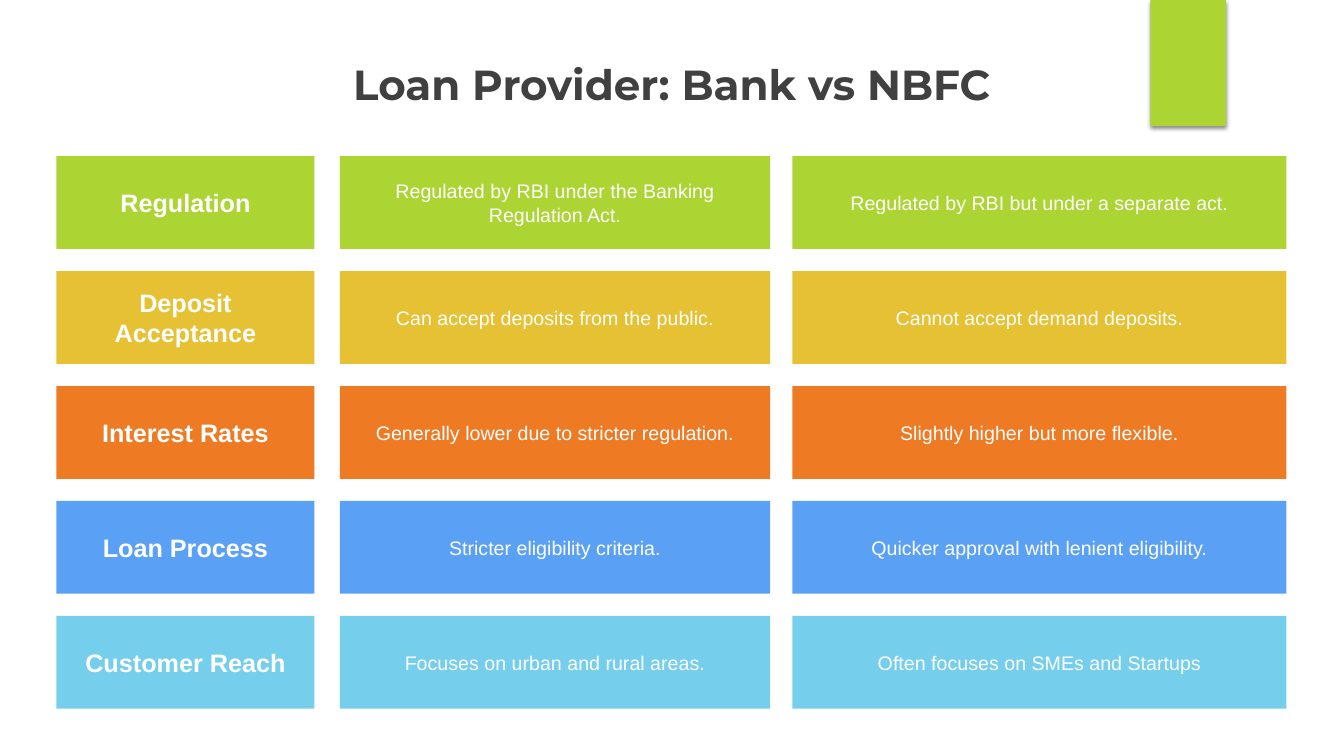
from dataclasses import dataclass

from lxml.etree import SubElement
from pptx import Presentation
from pptx.dml.color import RGBColor
from pptx.enum.shapes import MSO_SHAPE
from pptx.enum.text import MSO_ANCHOR, PP_ALIGN
from pptx.oxml.ns import qn
from pptx.util import Inches, Pt


@dataclass(frozen=True)
class Theme:
    """Colours, fonts and type sizes of the deck."""
    green: str = "ACD433"
    yellow: str = "E6C133"
    orange: str = "EF7A24"
    blue: str = "5AA0F5"
    sky: str = "75CEEC"
    white: str = "FFFFFF"
    title_color: str = "404040"
    shadow: str = "000000"
    title_font: str = "Montserrat"
    body_font: str = "Arial"
    title_size: int = 30
    label_size: int = 18
    body_size: int = 14


@dataclass(frozen=True)
class Box:
    """A rectangle in inches."""
    left: float
    top: float
    width: float
    height: float

    def lengths(self):
        """Return the four measures as lengths."""
        return [Inches(value) for value in (self.left, self.top, self.width, self.height)]


THEME = Theme()
COLUMNS = [(0.56, 2.56), (3.37, 4.27), (7.86, 4.9)]
ROW_HEIGHT = 0.92
ROW_STEP = 1.14
ROWS = [
    (THEME.green, "Regulation", "Regulated by RBI under the Banking Regulation Act.",
     "Regulated by RBI but under a separate act."),
    (THEME.yellow, "Deposit Acceptance", "Can accept deposits from the public.",
     "Cannot accept demand deposits."),
    (THEME.orange, "Interest Rates", "Generally lower due to stricter regulation.",
     "Slightly higher but more flexible."),
    (THEME.blue, "Loan Process", "Stricter eligibility criteria.",
     "Quicker approval with lenient eligibility."),
    (THEME.sky, "Customer Reach", "Focuses on urban and rural areas.",
     "Often focuses on SMEs and Startups"),
]


def write_centered(frame, text, font, size, color, bold=False):
    """Write one centred line of text into a frame."""
    frame.word_wrap = True
    para = frame.paragraphs[0]
    para.alignment = PP_ALIGN.CENTER
    span = para.add_run()
    span.text = text
    span.font.name = font
    span.font.size = Pt(size)
    span.font.bold = bold
    span.font.color.rgb = RGBColor.from_string(color)


def add_block(page, box, color):
    """Add a plain filled rectangle."""
    block = page.shapes.add_shape(MSO_SHAPE.RECTANGLE, *box.lengths())
    block.shadow.inherit = False
    block.fill.solid()
    block.fill.fore_color.rgb = RGBColor.from_string(color)
    block.line.fill.background()
    return block


def add_corner_tab(page, box):
    """Add the green tab with its soft shadow below."""
    tab = add_block(page, box, THEME.green)
    effects = tab._element.spPr.find(qn("a:effectLst"))
    shadow = SubElement(effects, qn("a:outerShdw"), blurRad=str(Pt(3)), dist=str(Pt(2)),
                        dir="5400000", rotWithShape="0")
    color = SubElement(shadow, qn("a:srgbClr"), val=THEME.shadow)
    SubElement(color, qn("a:alpha"), val="45000")


def add_title(page, box, text):
    """Add the slide title."""
    title = page.shapes.add_textbox(*box.lengths())
    write_centered(title.text_frame, text, THEME.title_font, THEME.title_size,
                   THEME.title_color, bold=True)


def add_cell(page, box, text, color, is_label):
    """Add one coloured cell of the comparison."""
    frame = add_block(page, box, color).text_frame
    frame.vertical_anchor = MSO_ANCHOR.MIDDLE
    frame.margin_left = frame.margin_right = Inches(0.1)
    frame.margin_top = frame.margin_bottom = Inches(0.1)
    size = THEME.label_size if is_label else THEME.body_size
    write_centered(frame, text, THEME.body_font, size, THEME.white, bold=is_label)


def add_comparison(page, top):
    """Add the grid of topics against the two providers."""
    for row, (color, *texts) in enumerate(ROWS):
        for column, ((left, width), text) in enumerate(zip(COLUMNS, texts)):
            box = Box(left, top + row * ROW_STEP, width, ROW_HEIGHT)
            add_cell(page, box, text, color, is_label=column == 0)


def main():
    """Build and save the deck."""
    deck = Presentation()
    deck.slide_width = Inches(13.33)
    deck.slide_height = Inches(7.5)
    page = deck.slides.add_slide(deck.slide_layouts[6])
    add_corner_tab(page, Box(11.41, 0, 0.75, 1.25))
    add_comparison(page, 1.55)
    add_title(page, Box(0, 0.53, 13.33, 0.61), "Loan Provider: Bank vs NBFC")
    deck.save("out.pptx")


if __name__ == "__main__":
    main()
